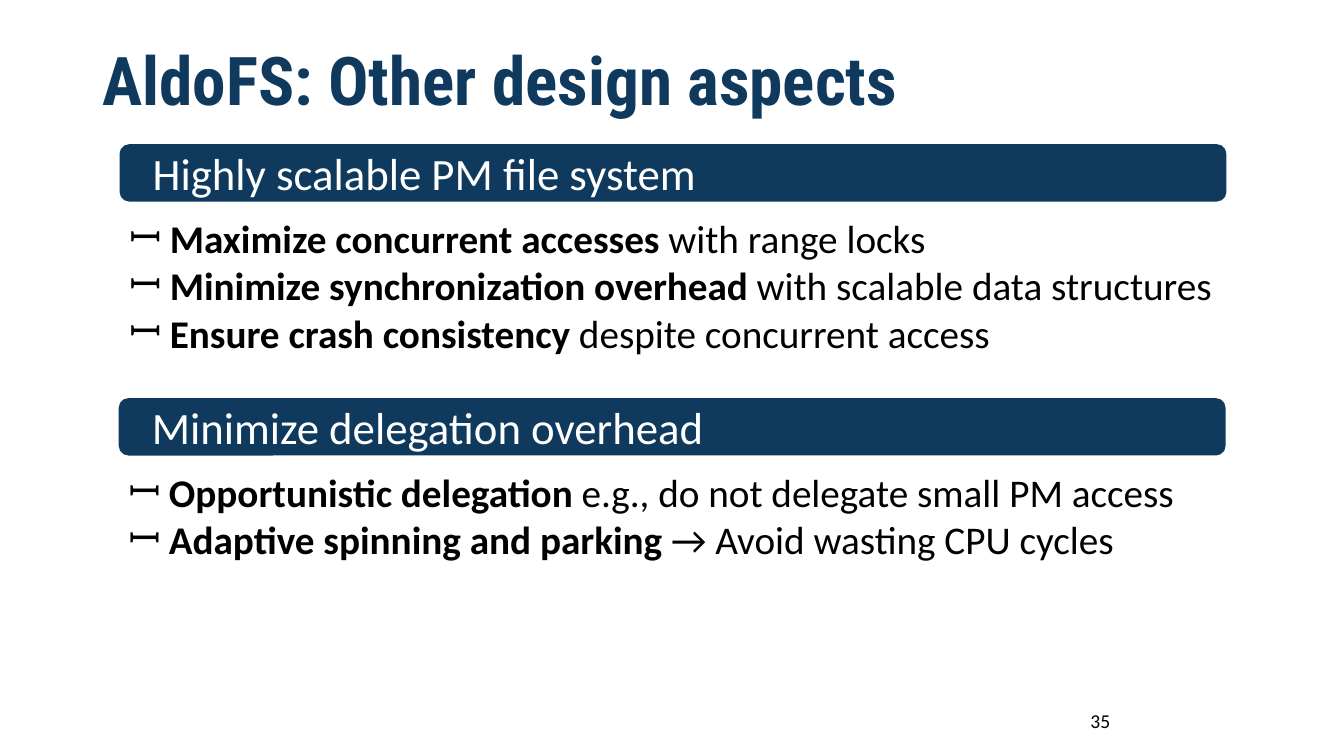
from dataclasses import dataclass

from lxml import etree
from pptx import Presentation
from pptx.dml.color import RGBColor
from pptx.enum import shapes, text
from pptx.oxml import ns
from pptx.util import Pt


@dataclass(frozen=True)
class Theme:
    navy: RGBColor = RGBColor(0x0F, 0x3A, 0x5D)
    white: RGBColor = RGBColor(0xFF, 0xFF, 0xFF)
    black: RGBColor = RGBColor(0, 0, 0)
    heading_font: str = "Roboto Condensed"
    body_font: str = "Calibri"
    title_size: int = 48
    banner_size: int = 32
    bullet_size: int = 28
    number_size: int = 14


THEME = Theme()
BANNER_HEIGHT = 41
LIST_OFFSET = 46.8
BULLET_INDENT = 28.8
SECTIONS = [
    ((85.4, 103, 790.6), 116.6, "Highly scalable PM file system", [
        ("Maximize concurrent accesses", "with range locks"),
        ("Minimize synchronization overhead", "with scalable data structures"),
        ("Ensure crash consistency", "despite concurrent access"),
    ]),
    ((84.8, 284.4, 790.6), 75.6, "Minimize delegation overhead", [
        ("Opportunistic delegation", "e.g., do not delegate small PM access"),
        ("Adaptive spinning and parking", "→ Avoid wasting CPU cycles"),
    ]),
]


def style(run, size, color, bold=False, font=THEME.body_font):
    run.font.size = Pt(size)
    run.font.color.rgb = color
    run.font.bold = bold
    run.font.name = font


def add_title(slide, box, wording):
    title = slide.shapes.title
    title.left, title.top, title.width, title.height = map(Pt, box)
    frame = title.text_frame
    frame.text = wording
    frame.auto_size = text.MSO_AUTO_SIZE.NONE
    frame.vertical_anchor = text.MSO_ANCHOR.MIDDLE
    paragraph = frame.paragraphs[0]
    paragraph.alignment = text.PP_ALIGN.LEFT
    paragraph.line_spacing = 0.9
    style(paragraph.runs[0], THEME.title_size, THEME.navy, True, THEME.heading_font)


def add_banner(slide, box, wording):
    banner = slide.shapes.add_shape(
        shapes.MSO_SHAPE.ROUNDED_RECTANGLE, *map(Pt, box))
    banner.shadow.inherit = False
    banner.fill.solid()
    banner.fill.fore_color.rgb = THEME.navy
    banner.line.fill.background()
    frame = banner.text_frame
    frame.text = wording
    frame.margin_left = Pt(21.6)
    frame.vertical_anchor = text.MSO_ANCHOR.MIDDLE
    paragraph = frame.paragraphs[0]
    paragraph.alignment = text.PP_ALIGN.LEFT
    style(paragraph.runs[0], THEME.banner_size, THEME.white)


def add_bullet(paragraph):
    properties = paragraph._p.get_or_add_pPr()
    properties.set("marL", str(Pt(BULLET_INDENT)))
    properties.set("indent", str(-Pt(BULLET_INDENT)))
    etree.SubElement(properties, ns.qn("a:buFont"), typeface=THEME.body_font)
    etree.SubElement(properties, ns.qn("a:buChar"), char="ꟷ")


def add_bullet_list(slide, box, items):
    frame = slide.shapes.add_textbox(*map(Pt, box)).text_frame
    frame.word_wrap = True
    for index, (lead, rest) in enumerate(items):
        paragraph = frame.add_paragraph() if index else frame.paragraphs[0]
        add_bullet(paragraph)
        for wording, bold in ((lead + " ", True), (rest, False)):
            run = paragraph.add_run()
            run.text = wording
            style(run, THEME.bullet_size, THEME.black, bold)


def add_section(slide, box, list_height, heading, items):
    left, top, width = box
    add_banner(slide, (left, top, width, BANNER_HEIGHT), heading)
    add_bullet_list(slide, (left, top + LIST_OFFSET, width, list_height), items)


def add_slide_number(slide, box, number):
    frame = slide.shapes.add_textbox(*map(Pt, box)).text_frame
    frame.word_wrap = True
    frame.text = number
    frame.vertical_anchor = text.MSO_ANCHOR.MIDDLE
    paragraph = frame.paragraphs[0]
    paragraph.alignment = text.PP_ALIGN.CENTER
    style(paragraph.runs[0], THEME.number_size, THEME.black)


def main():
    presentation = Presentation()
    presentation.slide_width, presentation.slide_height = Pt(960), Pt(540)
    slide = presentation.slides.add_slide(presentation.slide_layouts[5])
    add_title(slide, (66, 28.8, 837.4, 62.6), "AldoFS: Other design aspects")
    for section in SECTIONS:
        add_section(slide, *section)
    add_slide_number(slide, (678, 500.5, 216, 28.8), "35")
    presentation.save("out.pptx")


if __name__ == "__main__":
    main()
